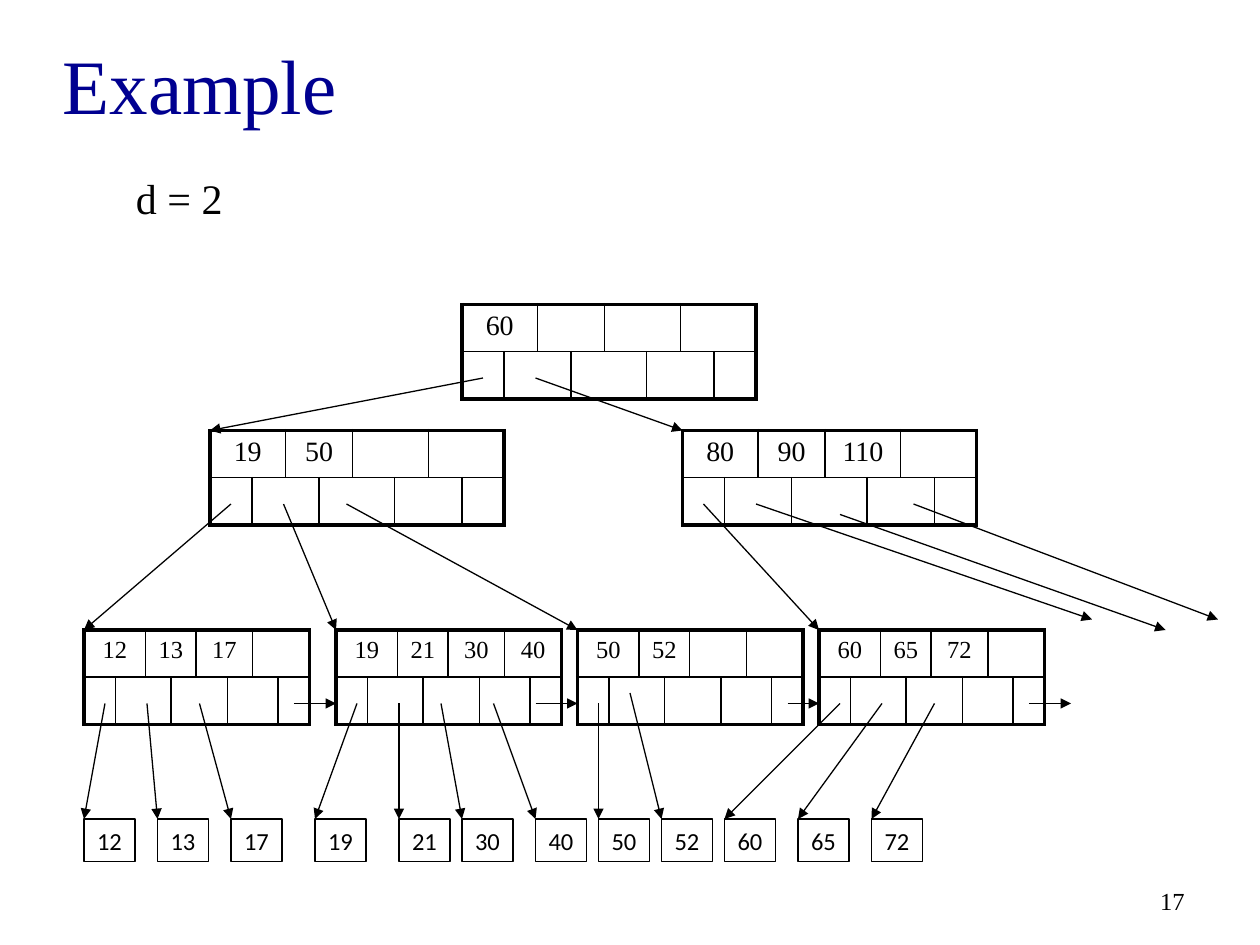
from lxml.etree import SubElement
from pptx import Presentation
from pptx.dml.color import RGBColor
from pptx.enum.shapes import MSO_CONNECTOR, MSO_SHAPE
from pptx.enum.text import MSO_ANCHOR, MSO_AUTO_SIZE, PP_ALIGN
from pptx.oxml.ns import qn
from pptx.util import Cm, Pt

BLACK = RGBColor(0x00, 0x00, 0x00)
NAVY = RGBColor(0x00, 0x00, 0x90)
SERIF = "Times New Roman"
SANS = "Calibri"

COLUMN_WEIGHTS = (5, 4, 4, 4, 5, 4, 4, 5)
KEY_SPANS = ((0, 1), (2, 3), (4, 5), (6, 7))
POINTER_SPANS = ((0, 0), (1, 2), (3, 4), (5, 6), (7, 7))

# Diagram places are counted in grid steps, twelve to the inch.
BRANCHES = [
    (44, 29, ["60"]),
    (20, 41, ["19", "50"]),
    (65, 41, ["80", "90", "110"]),
]
LEAF_TOP, RECORD_TOP, POINTER_Y = 60, 78, 67
LEAVES = [
    (8, ["12", "13", "17"]),
    (32, ["19", "21", "30", "40"]),
    (55, ["50", "52"]),
    (78, ["60", "65", "72"]),
]
CHILD_LINKS = [
    ((46, 36), (20, 41)), ((51, 36), (65, 41)),
    ((22, 48), (8, 60)), ((27, 48), (32, 60)), ((33, 48), (55, 60)),
    ((67, 48), (78, 60)), ((72, 48), (104, 59)),
    ((80, 49), (111, 60)), ((87, 48), (116, 59)),
]
SIBLING_LINKS = [(28, 32), (51, 55), (75, 78), (98, 102)]
# Key, left edge of the record, start of its pointer
RECORDS = [
    ("12", 8, (10, 67)), ("13", 15, (14, 67)), ("17", 22, (19, 67)),
    ("19", 30, (34, 67)), ("21", 38, (38, 67)), ("30", 44, (42, 67)),
    ("40", 51, (47, 67)), ("50", 57, (57, 67)), ("52", 63, (60, 66)),
    ("60", 69, (80, 67)), ("65", 76, (84, 67)), ("72", 83, (89, 67)),
]


def grid(steps):
    return Cm(steps * 2.54 / 12)


def write(frame, text, size, font=SERIF, color=BLACK, align=PP_ALIGN.LEFT,
          anchor=MSO_ANCHOR.TOP, wrap=True):
    frame.word_wrap = wrap
    frame.vertical_anchor = anchor
    paragraph = frame.paragraphs[0]
    paragraph.alignment = align
    run = paragraph.add_run()
    run.text = text
    run.font.size = Pt(size)
    run.font.name = font
    run.font.bold = False
    run.font.color.rgb = color


def set_borders(cell, **widths):
    """Draw black cell borders; widths in points under L, R, T and B."""
    properties = cell._tc.get_or_add_tcPr()
    for side, width in widths.items():
        line = SubElement(properties, qn(f"a:ln{side}"), w=str(Pt(width)))
        fill = SubElement(line, qn("a:solidFill"))
        SubElement(fill, qn("a:srgbClr"), val=str(BLACK))


class TreeSlide:
    thin, thick, arrow_width = 1, 2.25, 0.75

    def __init__(self, slide):
        self.slide = slide

    def label(self, text, left, top, width, height, size, **style):
        box = self.slide.shapes.add_textbox(Cm(left), Cm(top), Cm(width), Cm(height))
        write(box.text_frame, text, size, **style)

    def node(self, left, top, width, keys, size):
        """Draw a tree node: a row of keys above a row of pointers."""
        table = self.slide.shapes.add_table(
            2, len(COLUMN_WEIGHTS), grid(left), grid(top), grid(width), grid(9)).table
        table.first_row = table.horz_banding = False
        for column, weight in zip(table.columns, COLUMN_WEIGHTS):
            column.width = grid(width * weight / sum(COLUMN_WEIGHTS))
        self.node_row(table, 0, KEY_SPANS, keys, size)
        self.node_row(table, 1, POINTER_SPANS, [], size)

    def node_row(self, table, row, spans, keys, size):
        for index, (first, last) in enumerate(spans):
            for column in range(first, last + 1):
                cell = table.cell(row, column)
                set_borders(
                    cell,
                    L=self.thick if first == 0 else self.thin,
                    R=self.thick if last == len(COLUMN_WEIGHTS) - 1 else self.thin,
                    T=self.thick if row == 0 else self.thin,
                    B=self.thick if row == 1 else self.thin)
                cell.fill.background()
            cell = table.cell(row, first)
            if last > first:
                cell.merge(table.cell(row, last))
            if index < len(keys):
                write(cell.text_frame, keys[index], size, align=PP_ALIGN.CENTER)
            else:
                SubElement(cell.text_frame.paragraphs[0]._p,
                           qn("a:endParaRPr"), sz=str(size * 100))

    def record(self, key, left, top):
        box = self.slide.shapes.add_shape(
            MSO_SHAPE.RECTANGLE, grid(left), grid(top), Cm(1.03), Cm(0.86))
        box.shadow.inherit = False
        box.fill.background()
        box.line.color.rgb = BLACK
        box.line.width = Pt(self.arrow_width)
        write(box.text_frame, key, 14, font=SANS, align=PP_ALIGN.CENTER,
              anchor=MSO_ANCHOR.MIDDLE, wrap=False)
        box.text_frame.auto_size = MSO_AUTO_SIZE.SHAPE_TO_FIT_TEXT

    def arrow(self, start, end):
        link = self.slide.shapes.add_connector(
            MSO_CONNECTOR.STRAIGHT, *map(grid, start + end))
        link.line.color.rgb = BLACK
        link.line.width = Pt(self.arrow_width)
        SubElement(link.line._get_or_add_ln(), qn("a:tailEnd"), type="triangle")
        SubElement(link._element.spPr, qn("a:effectLst"))


def main():
    deck = Presentation()
    deck.slide_width, deck.slide_height = Cm(25.4), Cm(19.05)
    tree = TreeSlide(deck.slides.add_slide(deck.slide_layouts[6]))

    tree.label("Example", 1.02, 0.28, 22.86, 2.82, 44,
               color=NAVY, anchor=MSO_ANCHOR.MIDDLE)
    tree.label("d = 2", 2.49, 3.35, 2.26, 1.27, 24, wrap=False)
    tree.label("17", 18.21, 17.65, 5.92, 1.02, 14,
               align=PP_ALIGN.RIGHT, anchor=MSO_ANCHOR.MIDDLE)

    for left, top, keys in BRANCHES:
        tree.node(left, top, 28, keys, 16)
    for left, keys in LEAVES:
        tree.node(left, LEAF_TOP, 21, keys, 14)
    for start, end in CHILD_LINKS:
        tree.arrow(start, end)
    for start, end in SIBLING_LINKS:
        tree.arrow((start, POINTER_Y), (end, POINTER_Y))
    for key, left, pointer in RECORDS:
        tree.record(key, left, RECORD_TOP)
        tree.arrow(pointer, (left, RECORD_TOP))

    deck.save("out.pptx")


if __name__ == "__main__":
    main()
